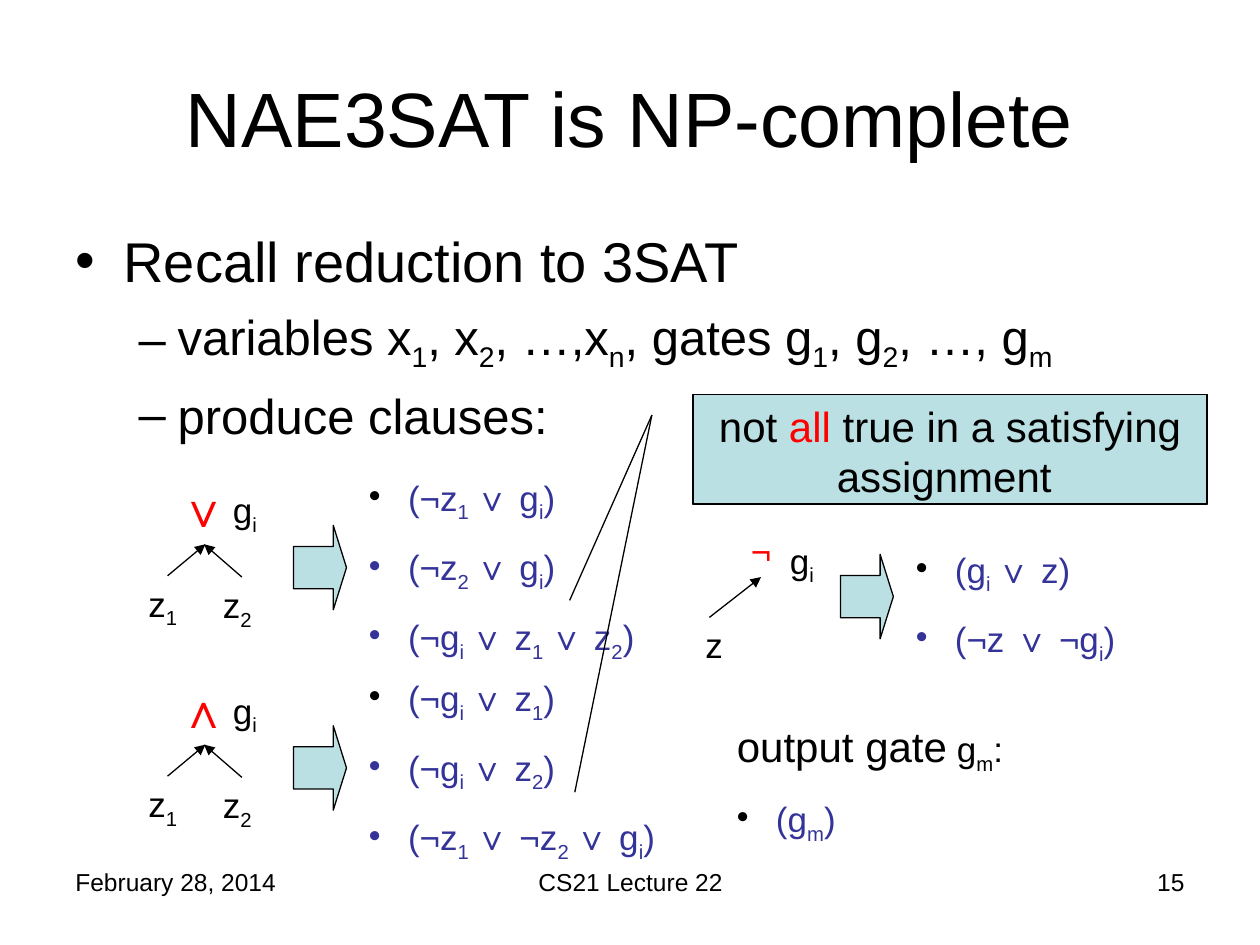
from lxml import etree
from pptx import Presentation
from pptx.dml.color import RGBColor
from pptx.enum.shapes import MSO_CONNECTOR, MSO_SHAPE
from pptx.enum.text import MSO_ANCHOR, MSO_AUTO_SIZE, PP_ALIGN
from pptx.oxml.ns import qn
from pptx.util import Inches, Pt

LEFT, MID, RIGHT = PP_ALIGN.LEFT, PP_ALIGN.CENTER, PP_ALIGN.RIGHT
TOP, CENTER = MSO_ANCHOR.TOP, MSO_ANCHOR.MIDDLE
GROW, FIXED = MSO_AUTO_SIZE.SHAPE_TO_FIT_TEXT, MSO_AUTO_SIZE.NONE
ARROW, CALLOUT = MSO_SHAPE.RIGHT_ARROW, MSO_SHAPE.LINE_CALLOUT_1
STRAIGHT = MSO_CONNECTOR.STRAIGHT

HEX = {"ink": "000000", "red": "FF0000", "blue": "333399", "pale": "BBE0E3"}
FONT = "Arial"

TITLE = "NAE3SAT is NP-complete"
BODY = [
    (0, 32, "•", 0.38, 0.38, "Recall reduction to 3SAT"),
    (1, 28, "–", 0.81, 0.31,
     "variables x_1_, x_2_, …,x_n_, gates g_1_, g_2_, …, g_m_"),
    (1, 28, "–", 0.81, 0.31, "produce clauses:"),
]
FOOT = [
    (0.5, 2.33, LEFT, "February 28, 2014"),
    (3.42, 3.17, MID, "CS21 Lecture 22"),
    (7.17, 2.33, RIGHT, "15"),
]
GATES = [
    (3.73, "∨", ["(¬z_1 _∨ g_i_)", "(¬z_2 _∨ g_i_)",
                 "(¬g_i _∨ z_1 _∨ z_2_)"]),
    (5.32, "∧", ["(¬g_i _∨ z_1_)", "(¬g_i _∨ z_2_)",
                 "(¬z_1 _∨ ¬z_2 _∨ g_i_)"]),
]
NOT = ["(g_i _∨ z)", "(¬z ∨ ¬g_i_)"]
OUTPUT = [("output gate", 24, "ink"), (" g_m_:", 20, "ink")]
NOTE = [("not ", 24, "ink"), ("all ", 24, "red"),
        ("true in a satisfying assignment ", 24, "ink")]
TIPS = [(1.88, -0.24), (3.63, -0.23)]


def color(name):
    return RGBColor.from_string(HEX[name])


def write(para, runs):
    for text, size, hue in runs:
        for i, part in enumerate(text.split("_")):
            if not part:
                continue
            run = para.add_run()
            run.text = part
            run.font.name = FONT
            run.font.size = Pt(size)
            run.font.color.rgb = color(hue)
            if i % 2:
                run.font._element.set("baseline", "-25000")


def bullet(para, mark, hue, left, hang):
    props = para._p.get_or_add_pPr()
    props.set("marL", str(Inches(left)))
    props.set("indent", str(-Inches(hang)))
    tint = etree.SubElement(props, qn("a:buClr"))
    etree.SubElement(tint, qn("a:srgbClr")).set("val", HEX[hue])
    etree.SubElement(props, qn("a:buChar")).set("char", mark)


def place(shape, x, y, w, h):
    shape.left, shape.top = Inches(x), Inches(y)
    shape.width, shape.height = Inches(w), Inches(h)


def setup(frame, size=FIXED, anchor=TOP):
    frame.word_wrap = True
    frame.auto_size = size
    frame.vertical_anchor = anchor
    return frame


def label(x, y, w, h, runs, align=LEFT, size=GROW):
    box = slide.shapes.add_textbox(Inches(x), Inches(y), Inches(w), Inches(h))
    frame = setup(box.text_frame, size)
    para = frame.paragraphs[0]
    para.alignment = align
    write(para, runs)
    return frame


def clauses(frame, items):
    for i, item in enumerate(items):
        para = frame.paragraphs[0]
        if para.runs:
            para = frame.add_paragraph()
            para.space_before = Pt(12.5)
        bullet(para, "•", "blue" if i else "ink", 0.31, 0.31)
        write(para, [(item, 20, "blue")])


def solid(kind, x, y, w, h, adjust):
    shape = slide.shapes.add_shape(
        kind, Inches(x), Inches(y), Inches(w), Inches(h))
    shape.shadow.inherit = False
    shape.fill.solid()
    shape.fill.fore_color.rgb = color("pale")
    shape.line.color.rgb = color("ink")
    shape.line.width = Pt(0.75)
    for i, value in enumerate(adjust):
        shape.adjustments[i] = value
    return shape


def edge(*ends):
    line = slide.shapes.add_connector(STRAIGHT, *map(Inches, ends))
    line.line.color.rgb = color("ink")
    line.line.width = Pt(0.75)
    stroke = line.line._get_or_add_ln()
    etree.SubElement(stroke, qn("a:tailEnd")).set("type", "triangle")
    etree.SubElement(line._element.spPr, qn("a:effectLst"))


def block(x, y):
    solid(ARROW, x, y, 0.42, 0.67, (0.5, 0.25))


deck = Presentation()
deck.slide_width, deck.slide_height = Inches(10), Inches(7.5)
slide = deck.slides.add_slide(deck.slide_layouts[1])

head = slide.shapes.title
place(head, 0.5, 0.3, 9, 1.25)
para = setup(head.text_frame, anchor=CENTER).paragraphs[0]
para.alignment = MID
write(para, [(TITLE, 44, "ink")])

body = slide.placeholders[1]
place(body, 0.5, 1.75, 9, 4.95)
frame = setup(body.text_frame)
for i, (level, size, mark, left, hang, text) in enumerate(BODY):
    para = frame.add_paragraph() if i else frame.paragraphs[0]
    para.level = level
    para.space_before = Pt(7 if i else 0)
    bullet(para, mark, "ink", left, hang)
    write(para, [(text, size, "ink")])

for x, w, align, text in FOOT:
    label(x, 6.83, w, 0.52, [(text, 14, "ink")], align, FIXED)

for y, sign, items in GATES:
    label(1.33, y + 0.02, 0.58, 0.57, [(sign, 28, "red")], MID)
    label(1.75, y + 0.1, 0.67, 0.48, [("g_i_", 20, "ink")])
    edge(1.33, y + 0.84, 1.63, y + 0.59)
    edge(1.92, y + 0.85, 1.62, y + 0.59)
    label(1.08, y + 0.84, 0.5, 0.48, [("z_1_", 20, "ink")])
    label(1.67, y + 0.85, 0.5, 0.48, [("z_2_", 20, "ink")])
    block(2.33, y + 0.44)
    clauses(label(2.83, y, 2.58, 1.59, []), items)

label(5.75, 4.15, 0.58, 0.44, [("¬", 20, "red")], MID)
label(6.17, 4.23, 0.67, 0.48, [("g_i_", 20, "ink")])
edge(5.63, 4.9, 6.04, 4.58)
label(5.5, 4.9, 0.25, 0.44, [("z", 20, "ink")])
block(6.67, 4.4)
clauses(label(7.17, 4.3, 2.25, 1.03, []), NOT)
clauses(label(5.75, 5.67, 2.42, 1.09, OUTPUT), ["(g_m_)"])

for tip in TIPS:
    note = solid(CALLOUT, 5.5, 3.13, 4.08, 0.87, (0.19, -0.08, *tip))
para = setup(note.text_frame).paragraphs[0]
para.alignment = MID
write(para, NOTE)

deck.save("out.pptx")
